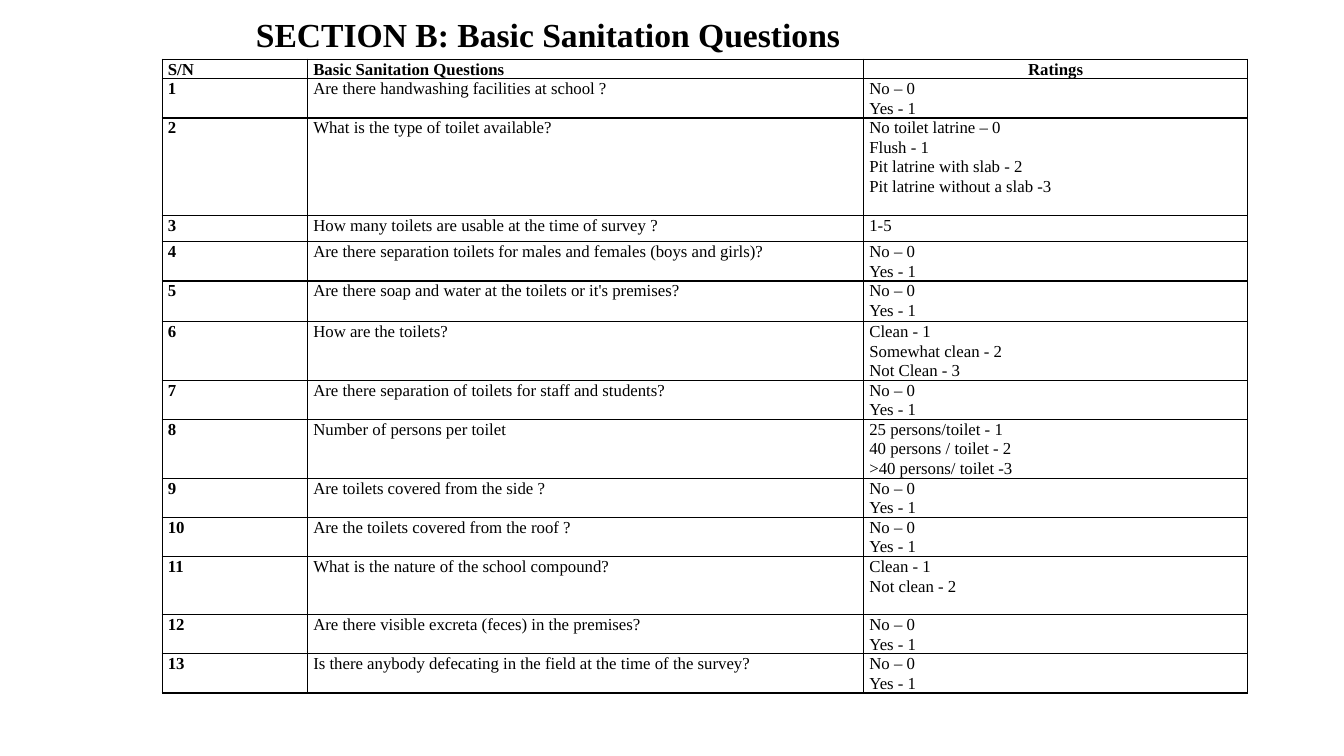
from pptx import Presentation
from pptx import util as u
from pptx.dml.color import RGBColor
from pptx.enum import text
from pptx.oxml import parse_xml
from pptx.oxml.ns import nsdecls

BLACK, WHITE = "000000", "FFFFFF"
YES_NO = "No – 0\nYes - 1"

# Row height in points, question, ratings
ROWS = [
    (28, "Are there handwashing facilities at school ?", YES_NO),
    (69.5, "What is the type of toilet available?",
     "No toilet latrine – 0\nFlush - 1\nPit latrine with slab - 2\nPit latrine without a slab -3"),
    (19, "How many toilets are usable at the time of survey ?", "1-5"),
    (28, "Are there separation toilets for males and females (boys and girls)?", YES_NO),
    (29, "Are there soap and water at the toilets or it's premises?", YES_NO),
    (41.5, "How are the toilets?", "Clean - 1\nSomewhat clean - 2\nNot Clean - 3"),
    (28, "Are there separation of toilets for staff and students?", YES_NO),
    (41.5, "Number of persons per toilet",
     "25 persons/toilet - 1\n40 persons / toilet - 2\n>40 persons/ toilet -3"),
    (28, "Are toilets covered from the side ?", YES_NO),
    (28, "Are the toilets covered from the roof ?", YES_NO),
    (41.5, "What is the nature of the school compound?", "Clean - 1\nNot clean - 2"),
    (28, "Are there visible excreta (feces) in the premises?", YES_NO),
    (28, "Is there anybody defecating in the field at the time of the survey?", YES_NO),
]


def color(code):
    return RGBColor.from_string(code)


def write(frame, words, size=12, bold=False, center=False, gap=1.0,
          font="Times New Roman", ink=BLACK):
    frame.word_wrap = True
    frame.text = words
    for para in frame.paragraphs:
        para.line_spacing = gap
        para.alignment = text.PP_ALIGN.CENTER if center else text.PP_ALIGN.LEFT
        for run in para.runs:
            run.font.name = font
            run.font.size = u.Pt(size)
            run.font.bold = bold
            run.font.color.rgb = color(ink)


class Sheet:
    inset = 4.1
    edge = 1
    gap = 1.05

    def __init__(self, slide):
        self.slide = slide

    def title(self, words, left, top, width, height):
        box = self.slide.shapes.add_textbox(u.Pt(left), u.Pt(top), u.Pt(width), u.Pt(height))
        box.text_frame.vertical_anchor = text.MSO_ANCHOR.MIDDLE
        write(box.text_frame, words, size=24, bold=True)

    def cell(self, cell, words, **style):
        cell.margin_left = cell.margin_right = u.Pt(self.inset)
        cell.margin_top = cell.margin_bottom = 0
        cell.vertical_anchor = text.MSO_ANCHOR.TOP
        write(cell.text_frame, words, gap=self.gap, **style)
        # Borders come before the fill in the cell properties
        props = cell._tc.get_or_add_tcPr()
        for side in ("lnL", "lnR", "lnT", "lnB"):
            props.append(parse_xml(
                f'<a:{side} {nsdecls("a")} w="{u.Pt(self.edge)}"><a:solidFill>'
                f'<a:srgbClr val="{BLACK}"/></a:solidFill></a:{side}>'))
        cell.fill.solid()
        cell.fill.fore_color.rgb = color(WHITE)

    def table(self, heads, rows, left, top, widths):
        highs = [14] + [row[0] for row in rows]
        grid = self.slide.shapes.add_table(
            len(highs), len(widths), u.Pt(left), u.Pt(top),
            u.Pt(sum(widths)), u.Pt(sum(highs))).table
        for col, width in zip(grid.columns, widths):
            col.width = u.Pt(width)
        for row, high in zip(grid.rows, highs):
            row.height = u.Pt(high)
        for col, head in enumerate(heads):
            self.cell(grid.cell(0, col), head, bold=True, center=col == 2)
        for num, (_, question, ratings) in enumerate(rows, 1):
            for col, words in enumerate((str(num), question, ratings)):
                self.cell(grid.cell(num, col), words, bold=col == 0)


def main():
    deck = Presentation()
    deck.slide_width, deck.slide_height = u.Pt(960), u.Pt(540)
    sheet = Sheet(deck.slides.add_slide(deck.slide_layouts[6]))

    # Questionnaire
    sheet.table(("S/N", "Basic Sanitation Questions", "Ratings"), ROWS,
                115.8, 42.3, (103.9, 397.2, 274.3))

    # Heading
    sheet.title("SECTION B: Basic Sanitation Questions", 175.7, 6, 445.7, 36)

    deck.save("out.pptx")


if __name__ == "__main__":
    main()
